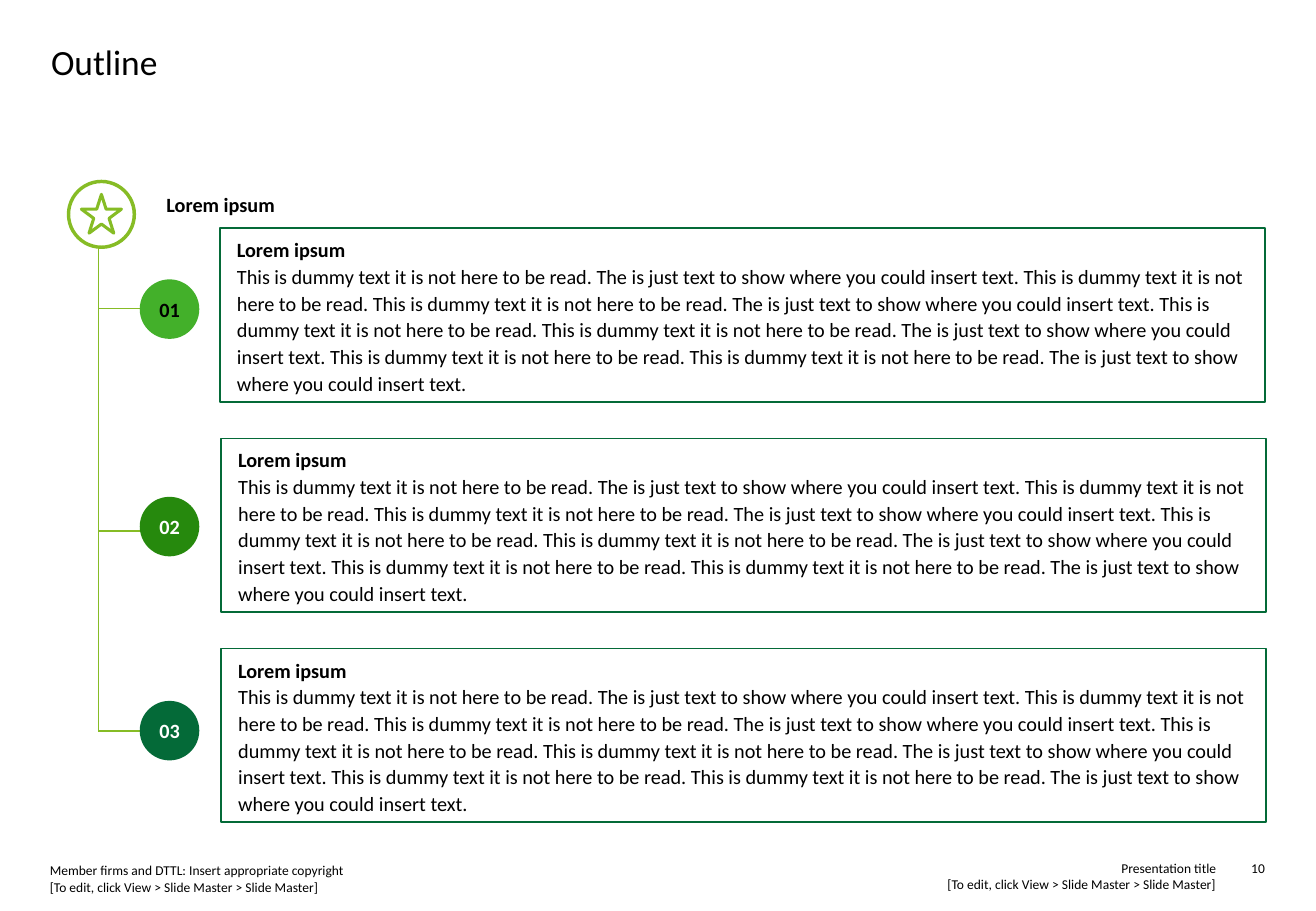
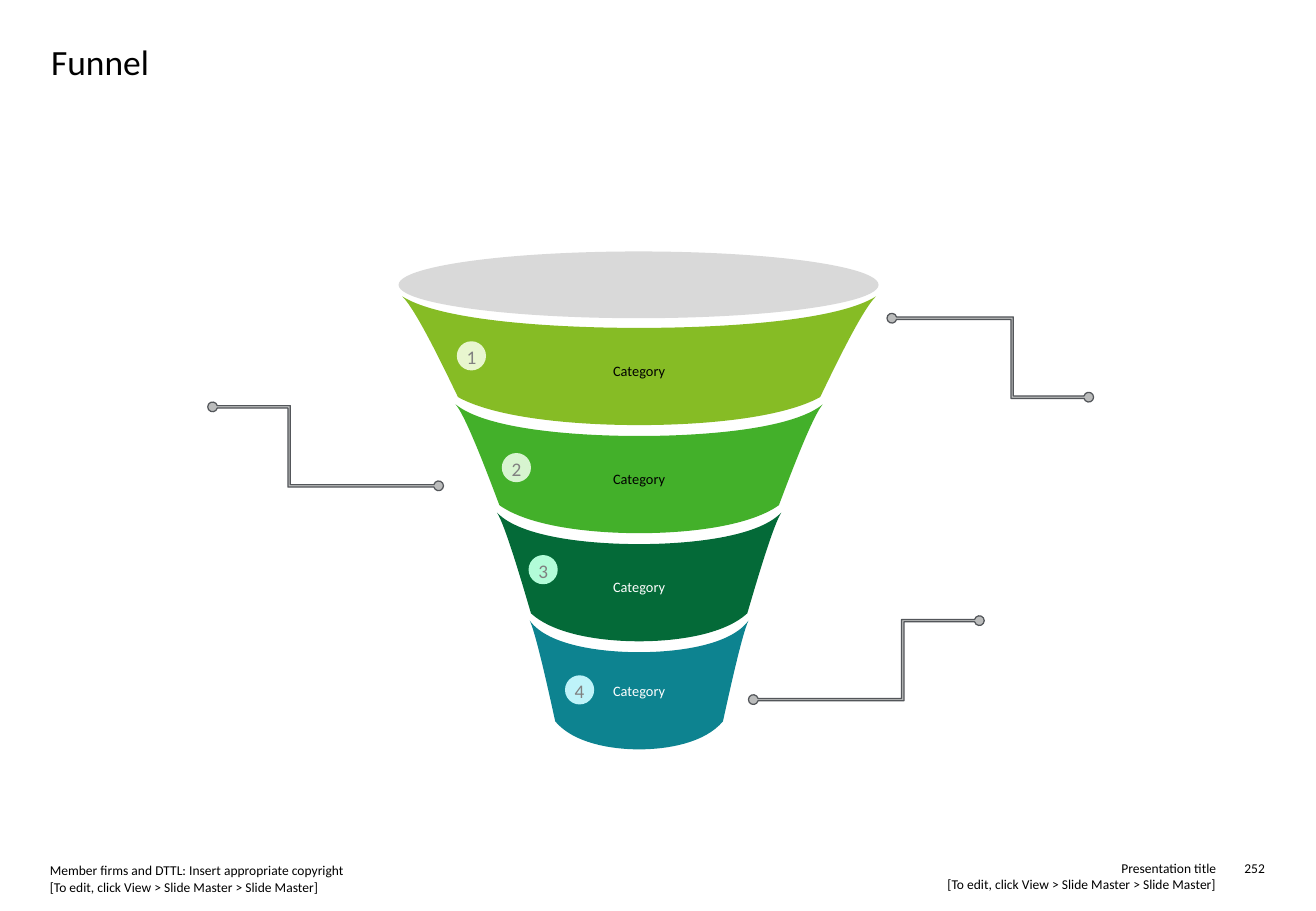
import math
from dataclasses import dataclass

import lxml.etree
import pptx
import pptx.dml.color
import pptx.enum.shapes
import pptx.enum.text
import pptx.oxml.ns
import pptx.util

Inches = pptx.util.Inches
Pt = pptx.util.Pt
qn = pptx.oxml.ns.qn
SHAPE = pptx.enum.shapes.MSO_SHAPE
ALIGN = pptx.enum.text.PP_ALIGN
ANCHOR = pptx.enum.text.MSO_ANCHOR
Point = tuple[float, float]

FONT = "Calibri"
COLORS = {
    "black": "000000", "white": "FFFFFF", "grey_text": "808080",
    "lime": "86BC25", "green": "43B02A", "mid_green": "26890D",
    "dark_green": "046A38", "teal": "0D8390", "rim": "D9D9D9",
    "callout": "BBBCBC", "callout_edge": "53565A",
    "pale_lime": "E8F6CF", "pale_green": "D7F4D0",
    "pale_mint": "B2FCD8", "pale_teal": "BEF3F9",
}

EDIT_HINT = "[To edit, click View > Slide Master > Slide Master]"
READ = "This is dummy text it is not here to be read."
INSERT = "The is just text to show where you could insert text."
DUMMY_TEXT = " ".join([READ, INSERT] + [READ, READ, INSERT] * 3)


@dataclass
class Step:
    label: str
    color: str
    text_color: str
    badge_top: float
    branch_y: float
    box_left: float
    box_top: float


@dataclass
class Band:
    """A funnel layer; half widths are measured from the funnel's axis."""
    color: str
    text_color: str
    half_top: float
    half_bottom: float
    label_top: float
    badge_color: str
    badge_left: float
    badge_top: float


@dataclass
class Callout:
    start: Point
    bend_x: float
    end: Point


STEPS = [
    Step("01", "green", "black", 2.3, 2.54, 1.81, 1.88),
    Step("02", "mid_green", "white", 4.09, 4.37, 1.82, 3.61),
    Step("03", "dark_green", "white", 5.77, 6.02, 1.82, 5.34),
]
SPINE_X = 0.81

BANDS = [
    Band("lime", "black", 1.95, 1.49, 2.98, "pale_lime", 3.76, 2.81),
    Band("green", "black", 1.51, 1.15, 3.87, "pale_green", 4.13, 3.73),
    Band("dark_green", "white", 1.17, 0.89, 4.76, "pale_mint", 4.35, 4.57),
    Band("teal", "white", 0.9, 0.69, 5.62, "pale_teal", 4.65, 5.56),
]
FUNNEL_X, FUNNEL_TOP, BAND_STEP = 5.26, 2.44, 0.89

CALLOUTS = [
    Callout((7.34, 2.62), 8.33, (8.96, 3.27)),
    Callout((6.2, 5.76), 7.43, (8.06, 5.11)),
    Callout((1.75, 3.35), 2.38, (3.61, 4.0)),
]


def rgb(name: str) -> pptx.dml.color.RGBColor:
    return pptx.dml.color.RGBColor.from_string(COLORS[name])


def paint(sp, fill: str | None = None, line: str | None = None, width: float = 1) -> None:
    sp.shadow.inherit = False
    if fill:
        sp.fill.solid()
        sp.fill.fore_color.rgb = rgb(fill)
    else:
        sp.fill.background()
    if line:
        sp.line.color.rgb = rgb(line)
        sp.line.width = Pt(width)
    else:
        sp.line.fill.background()


def add_run(p, text: str, size: float, color: str = "black", bold: bool = False) -> None:
    r = p.add_run()
    r.text = text
    r.font.name = FONT
    r.font.size = Pt(size)
    r.font.bold = bold
    r.font.color.rgb = rgb(color)


def frame(sp, anchor=ANCHOR.TOP, margins=(0, 0, 0, 0)):
    """Set wrapping, anchor and margins (left, top, right, bottom)."""
    tf = sp.text_frame
    tf.word_wrap = True
    tf.vertical_anchor = anchor
    tf.margin_left, tf.margin_top, tf.margin_right, tf.margin_bottom = map(Inches, margins)
    return tf


def add_shape(slide, kind, left: float, top: float, width: float, height: float,
              fill: str | None = None, line: str | None = None, line_width: float = 1):
    sp = slide.shapes.add_shape(kind, Inches(left), Inches(top), Inches(width), Inches(height))
    paint(sp, fill, line, line_width)
    return sp


def add_text(slide, lines: list[str], left: float, top: float, width: float, height: float,
             size: float, align=ALIGN.LEFT, color: str = "black", bold: bool = False,
             spacing: float = 1.0, anchor=ANCHOR.TOP) -> None:
    """Add a text box with one paragraph, broken into the given lines."""
    sp = slide.shapes.add_textbox(Inches(left), Inches(top), Inches(width), Inches(height))
    p = frame(sp, anchor).paragraphs[0]
    p.alignment = align
    p.line_spacing = spacing
    for i, text in enumerate(lines):
        if i:
            p.add_line_break()
        add_run(p, text, size, color, bold)


def add_badge(slide, label: str, left: float, top: float, side: float, fill: str,
              size: float, color: str, bold: bool = False, anchor=ANCHOR.MIDDLE) -> None:
    sp = add_shape(slide, SHAPE.OVAL, left, top, side, side, fill)
    p = frame(sp, anchor).paragraphs[0]
    p.alignment = ALIGN.CENTER
    add_run(p, label, size, color, bold)


def add_line(slide, start: Point, end: Point) -> None:
    s = slide.shapes.add_connector(pptx.enum.shapes.MSO_CONNECTOR.STRAIGHT,
                                   *map(Inches, start + end))
    s.line.color.rgb = rgb("lime")
    s.line.width = Pt(1)
    lxml.etree.SubElement(s._element.spPr, qn("a:effectLst"))


def add_outline(slide, points: list[Point], fill: str, line: str | None = None,
                width: float = 1):
    emu = [(Inches(x), Inches(y)) for x, y in points]
    builder = slide.shapes.build_freeform(*emu[0], scale=1.0)
    builder.add_line_segments(emu[1:], close=True)
    sp = builder.convert_to_shape()
    paint(sp, fill, line, width)
    return sp


def bend_segments(sp) -> None:
    """Turn every three straight segments into one cubic curve."""
    lines = list(sp._element.iter(qn("a:lnTo")))
    for first, second, third in zip(lines[::3], lines[1::3], lines[2::3]):
        curve = lxml.etree.Element(qn("a:cubicBezTo"))
        first.addprevious(curve)
        for segment in (first, second, third):
            curve.append(segment[0])
            segment.getparent().remove(segment)


def arc(center: Point, radius: float, start: float, end: float, n: int = 10) -> list[Point]:
    angles = (start + (end - start) * i / n for i in range(n + 1))
    return [(center[0] + radius * math.cos(t), center[1] + radius * math.sin(t)) for t in angles]


def add_band(slide, band: Band, y: float) -> None:
    """Draw a layer from the control points of its right half and their mirror."""
    w, b = band.half_top, band.half_bottom
    taper = w - b
    half = [(0, 0.26), (0.33 * w, 0.26), (0.83 * w, 0.21),
            (w, 0), (w - 0.26 * taper, 0.11), (b + 0.16 * taper, 0.68),
            (b, 0.83), (0.78 * b, 1.01), (0.33 * b, 1.06), (0, 1.06)]
    mirrored = [(-x, dy) for x, dy in reversed(half[:-1])]
    points = [(FUNNEL_X + x, y + dy) for x, dy in half + mirrored]
    bend_segments(add_outline(slide, points, band.color))


def add_callout(slide, callout: Callout) -> None:
    """Draw two dots joined by a thin stepped bar, as one outline."""
    radius, h = 0.04, 0.01
    d = math.asin(h / radius)
    (_, y0), (_, y1), bend = callout.start, callout.end, callout.bend_x
    side = math.copysign(h, y1 - y0)
    points = arc(callout.start, radius, d, 2 * math.pi - d)
    points += [(bend + side, y0 - h), (bend + side, y1 - h)]
    points += arc(callout.end, radius, math.pi + d, 3 * math.pi - d)
    points += [(bend - side, y1 + h), (bend - side, y0 + h)]
    add_outline(slide, points, "callout", "callout_edge", 0.75)


def new_slide(prs, title: str, number: str):
    slide = prs.slides.add_slide(prs.slide_layouts[5])
    sp = slide.shapes.title
    sp.left, sp.top, sp.width, sp.height = map(Inches, (0.42, 0.33, 9.95, 0.38))
    p = frame(sp).paragraphs[0]
    p.alignment = ALIGN.LEFT
    add_run(p, title, 21)
    add_text(slide, ["Presentation title", EDIT_HINT], 5.66, 7.08, 4.35, 0.27, 8, ALIGN.RIGHT)
    add_text(slide, ["Member firms and DTTL: Insert appropriate copyright", EDIT_HINT],
             0.41, 7.1, 4.76, 0.27, 8)
    add_text(slide, [number], 10.14, 7.08, 0.27, 0.13, 8, ALIGN.RIGHT)
    return slide


def add_step(slide, step: Step) -> None:
    add_line(slide, (SPINE_X, step.branch_y), (1.37, step.branch_y))
    add_badge(slide, step.label, 1.15, step.badge_top, 0.49, step.color, 12,
              step.text_color, bold=True)
    sp = add_shape(slide, SHAPE.RECTANGLE, step.box_left, step.box_top, 8.6, 1.43,
                   line="dark_green")
    tf = frame(sp, ANCHOR.MIDDLE, (0.14, 0.05, 0.06, 0.05))
    for p, text, bold in ((tf.paragraphs[0], "Lorem ipsum", True),
                          (tf.add_paragraph(), DUMMY_TEXT, False)):
        p.alignment = ALIGN.LEFT
        p.line_spacing = 1.1
        add_run(p, text, 12, bold=bold)


def build_outline(prs) -> None:
    slide = new_slide(prs, "Outline", "10")
    add_line(slide, (SPINE_X, 2.05), (SPINE_X, STEPS[-1].branch_y))
    ring = add_shape(slide, SHAPE.DONUT, 0.55, 1.48, 0.57, 0.57, "lime")
    ring.adjustments[0] = 0.05
    add_shape(slide, SHAPE.STAR_5_POINT, 0.67, 1.6, 0.33, 0.32, line="lime", line_width=1.8)
    add_text(slide, ["Lorem ipsum"], 1.37, 1.56, 5.11, 0.21, 12, bold=True, spacing=1.1)
    for step in STEPS:
        add_step(slide, step)


def build_funnel(prs) -> None:
    slide = new_slide(prs, "Funnel", "252")
    for callout in CALLOUTS:
        add_callout(slide, callout)
    add_shape(slide, SHAPE.OVAL, 3.28, 2.07, 3.95, 0.55, "rim")
    for i, band in enumerate(BANDS):
        add_band(slide, band, FUNNEL_TOP + i * BAND_STEP)
        add_text(slide, ["Category"], 4.01, band.label_top, 2.5, 0.14, 8.5, ALIGN.CENTER,
                 band.text_color, anchor=ANCHOR.MIDDLE)
        add_badge(slide, str(i + 1), band.badge_left, band.badge_top, 0.24,
                  band.badge_color, 11.4, "grey_text", anchor=ANCHOR.TOP)


def main() -> None:
    prs = pptx.Presentation()
    prs.slide_width, prs.slide_height = Inches(10.83), Inches(7.5)
    build_outline(prs)
    build_funnel(prs)
    prs.save("out.pptx")


if __name__ == "__main__":
    main()
